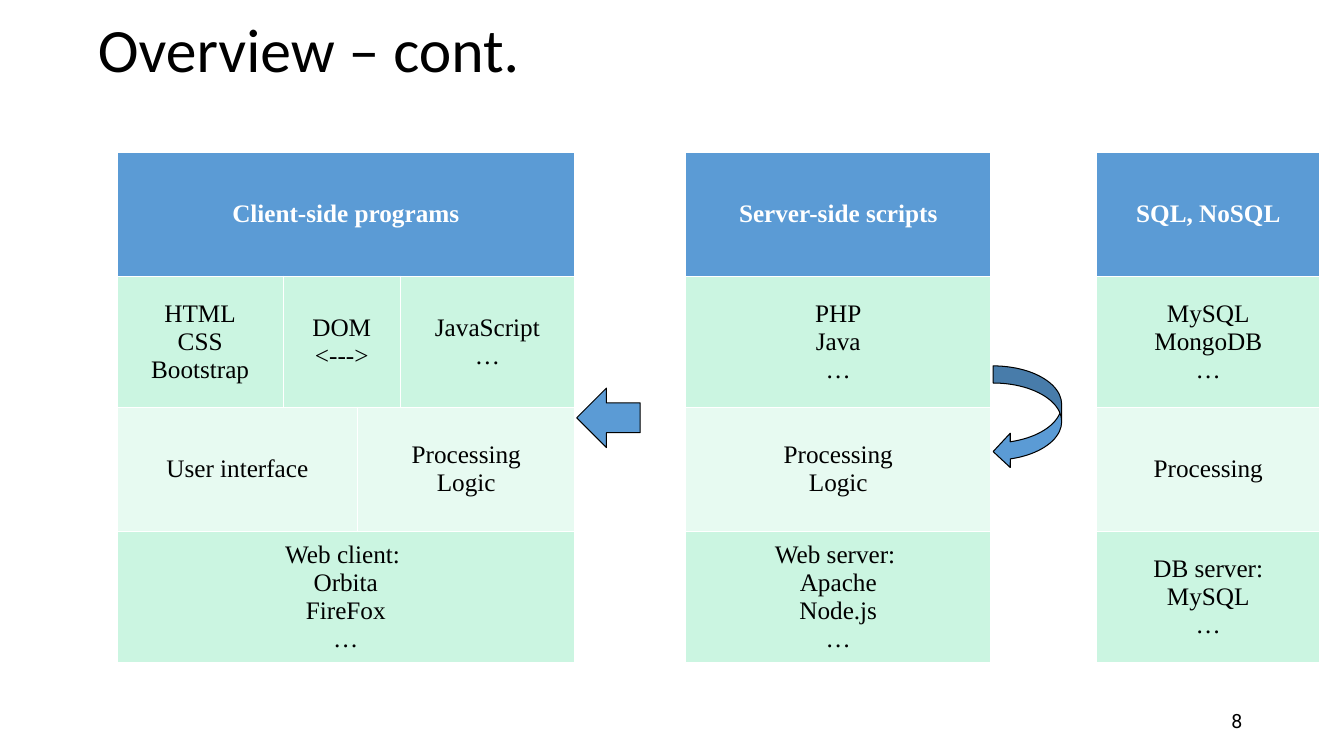
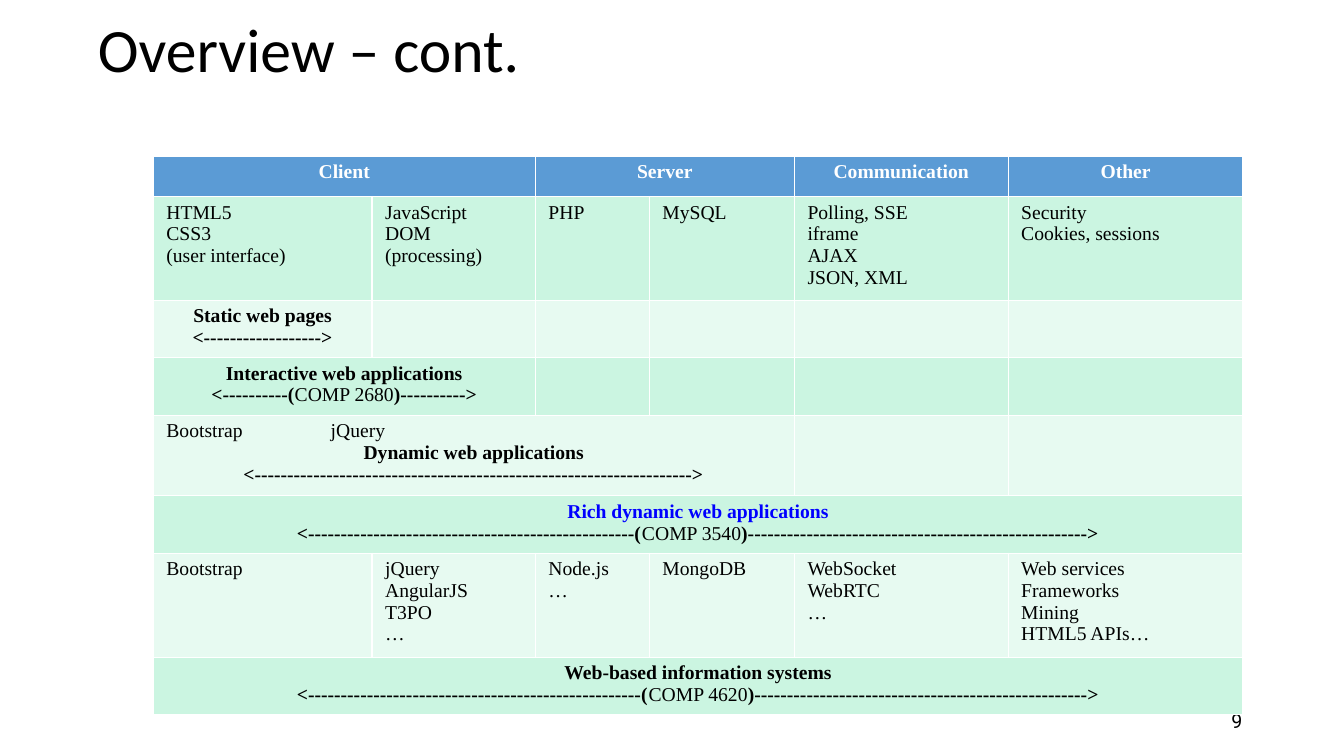
from dataclasses import dataclass
from typing import Optional

from lxml import etree
from pptx import Presentation
from pptx.dml.color import RGBColor
from pptx.enum.shapes import MSO_SHAPE
from pptx.enum.text import MSO_ANCHOR, MSO_AUTO_SIZE, PP_ALIGN
from pptx.oxml.ns import qn
from pptx.util import Inches, Pt

BLUE = RGBColor(0x5B, 0x9B, 0xD5)
MINT = RGBColor(0xCB, 0xF5, 0xE1)
PALE_MINT = RGBColor(0xE7, 0xFA, 0xF1)
LINK_BLUE = RGBColor(0x00, 0x00, 0xFF)
BLACK = RGBColor(0x00, 0x00, 0x00)
WHITE = RGBColor(0xFF, 0xFF, 0xFF)

TITLE_FONT = "Calibri"
TABLE_FONT = "Times New Roman"
NUMBER_FONT = "Roboto"

LEFT, CENTER, RIGHT = PP_ALIGN.LEFT, PP_ALIGN.CENTER, PP_ALIGN.RIGHT
TOP, MIDDLE = MSO_ANCHOR.TOP, MSO_ANCHOR.MIDDLE
LEFT_ARROW = MSO_SHAPE.LEFT_ARROW
CURVED_ARROW = MSO_SHAPE.CURVED_LEFT_ARROW
NO_AUTOFIT = MSO_AUTO_SIZE.NONE

TITLE_ONLY = 5
TITLE = "Overview – cont."
JQUERY_TAB = 1.63


@dataclass
class Span:
    text: str
    bold: bool = False
    color: RGBColor = BLACK


@dataclass
class Line:
    spans: list
    align: Optional[PP_ALIGN] = None
    tab: Optional[float] = None


@dataclass
class Cell:
    lines: list
    columns: int = 1


def plain(text, columns=1):
    return Cell([Line([Span(part)]) for part in text.split("\n")], columns)


def header(text, columns=1):
    return Cell([Line([Span(text, True, WHITE)], CENTER)], columns)


def scope(name, left, right, columns, course=None, color=BLACK, first=()):
    """Centred bold name above a dashed arrow, which may hold a course code."""
    arrow = [Span(left, True)]
    if course:
        arrow.append(Span(course))
    arrow.append(Span(right, True))
    lines = [Line([Span(name, True, color)], CENTER), Line(arrow, CENTER)]
    return Cell([*first, *lines], columns)


def format_font(font, name, size, bold=False, color=BLACK):
    font.name = name
    font.size = Pt(size)
    font.bold = bold
    font.color.rgb = color


def write_text(frame, text, font, size, align, line_spacing=None):
    frame.word_wrap = True
    frame.auto_size = NO_AUTOFIT
    frame.vertical_anchor = MIDDLE
    para = frame.paragraphs[0]
    para.alignment = align
    if line_spacing:
        para.line_spacing = line_spacing
    span = para.add_run()
    span.text = text
    format_font(span.font, font, size)


def add_page(deck, number):
    page = deck.slides.add_slide(deck.slide_layouts[TITLE_ONLY])
    title = page.shapes.title
    title.left, title.top = Inches(0.87), Inches(0.1)
    title.width, title.height = Inches(12.46), Inches(0.85)
    write_text(title.text_frame, TITLE, TITLE_FONT, 44, LEFT, 0.9)

    box = page.shapes.add_textbox(
        Inches(9.42), Inches(6.95), Inches(3), Inches(0.4))
    write_text(box.text_frame, str(number), NUMBER_FONT, 14, RIGHT)
    return page


def add_tab_stop(para, position):
    tabs = etree.SubElement(para._p.get_or_add_pPr(), qn("a:tabLst"))
    etree.SubElement(tabs, qn("a:tab"), pos=str(Inches(position)), algn="l")


def fill_cell(box, content, size, align, anchor):
    box.margin_left = box.margin_right = Inches(0.13)
    box.margin_top = box.margin_bottom = Inches(0.05)
    box.vertical_anchor = anchor
    frame = box.text_frame
    for index, line in enumerate(content.lines):
        para = frame.add_paragraph() if index else frame.paragraphs[0]
        if line.tab:
            add_tab_stop(para, line.tab)
        para.alignment = align if line.align is None else line.align
        for piece in line.spans:
            span = para.add_run()
            span.text = piece.text
            format_font(span.font, TABLE_FONT, size, piece.bold, piece.color)


def row_color(row):
    if row == 0:
        return BLUE
    return MINT if row % 2 else PALE_MINT


def add_grid(page, left, top, widths, heights, rows, size, align, anchor):
    """Add a table; None in a row leaves a see-through gap."""
    table = page.shapes.add_table(
        len(heights), len(widths), Inches(left), Inches(top),
        Inches(sum(widths)), Inches(sum(heights))).table
    for column, width in zip(table.columns, widths):
        column.width = Inches(width)
    for table_row, height in zip(table.rows, heights):
        table_row.height = Inches(height)

    for row, contents in enumerate(rows):
        column = 0
        for content in contents:
            box = table.cell(row, column)
            if content is None:
                box.fill.background()
                column += 1
                continue
            if content.columns > 1:
                box.merge(table.cell(row, column + content.columns - 1))
            box.fill.solid()
            box.fill.fore_color.rgb = row_color(row)
            fill_cell(box, content, size, align, anchor)
            column += content.columns


def add_block_arrow(page, kind, left, top, width, height):
    arrow = page.shapes.add_shape(
        kind, Inches(left), Inches(top), Inches(width), Inches(height))
    arrow.shadow.inherit = False
    arrow.fill.solid()
    arrow.fill.fore_color.rgb = BLUE
    arrow.line.color.rgb = BLACK
    arrow.line.width = Pt(0.75)


def add_architecture(deck):
    page = add_page(deck, 8)
    rows = [
        [header("Client-side programs", 4), None,
         header("Server-side scripts"), None, header("SQL, NoSQL")],
        [plain("HTML\nCSS\nBootstrap"), plain("DOM\n<--->", 2),
         plain("JavaScript\n…"), None, plain("PHP\nJava\n…"), None,
         plain("MySQL\nMongoDB\n…")],
        [plain("User interface", 2), plain("Processing\nLogic", 2), None,
         plain("Processing\nLogic"), None, plain("Processing")],
        [plain("Web client: \nOrbita\nFireFox\n…", 4), None,
         plain("Web server: \nApache\nNode.js\n…"), None,
         plain("DB server:\nMySQL\n…")],
    ]
    add_grid(page, 1.16, 1.51,
             [1.65, 0.74, 0.42, 1.73, 1.1, 3.03, 1.05, 2.21],
             [1.23, 1.3, 1.23, 1.3], rows, 18, CENTER, MIDDLE)
    add_block_arrow(page, CURVED_ARROW, 9.85, 3.63, 0.68, 1.02)
    add_block_arrow(page, LEFT_ARROW, 5.72, 3.85, 0.63, 0.59)


def add_topics(deck):
    page = add_page(deck, 9)
    empty = plain("")
    tools = Line([Span("Bootstrap\tjQuery")], LEFT, JQUERY_TAB)
    rows = [
        [header("Client", 2), header("Server", 2),
         header("Communication"), header("Other")],
        [plain("HTML5\nCSS3\n(user interface)"),
         plain("JavaScript\nDOM\n(processing)"), plain("PHP"), plain("MySQL"),
         plain("Polling, SSE\niframe\nAJAX\nJSON, XML"),
         plain("Security\nCookies, sessions")],
        [scope("Static web pages", "<---------", "--------->", 1)]
        + [empty] * 5,
        [scope("Interactive web applications", "<----------(",
               ")---------->", 2, "COMP 2680")] + [empty] * 4,
        [scope("Dynamic web applications", "<" + "-" * 33, "-" * 34 + ">", 4,
               first=[tools])] + [empty] * 2,
        [scope("Rich dynamic web applications", "<" + "-" * 50 + "(",
               ")" + "-" * 52 + ">", 6, "COMP 3540", LINK_BLUE)],
        [plain("Bootstrap"), plain("jQuery\nAngularJS\nT3PO\n…"),
         plain("Node.js\n…"), plain("MongoDB"),
         plain("WebSocket\nWebRTC\n…"),
         plain("Web services\nFrameworks\nMining\nHTML5 APIs…")],
        [scope("Web-based information systems", "<" + "-" * 51 + "(",
               ")" + "-" * 51 + ">", 6, "COMP 4620")],
    ]
    add_grid(page, 1.52, 1.55, [2.17, 1.62, 1.13, 1.44, 2.12, 2.33],
             [0.4, 1.03, 0.57, 0.57, 0.8, 0.57, 1.03, 0.57],
             rows, 14, LEFT, TOP)


def main():
    deck = Presentation()
    deck.slide_width, deck.slide_height = Inches(13.33), Inches(7.5)
    add_architecture(deck)
    add_topics(deck)
    deck.save("out.pptx")


if __name__ == "__main__":
    main()
